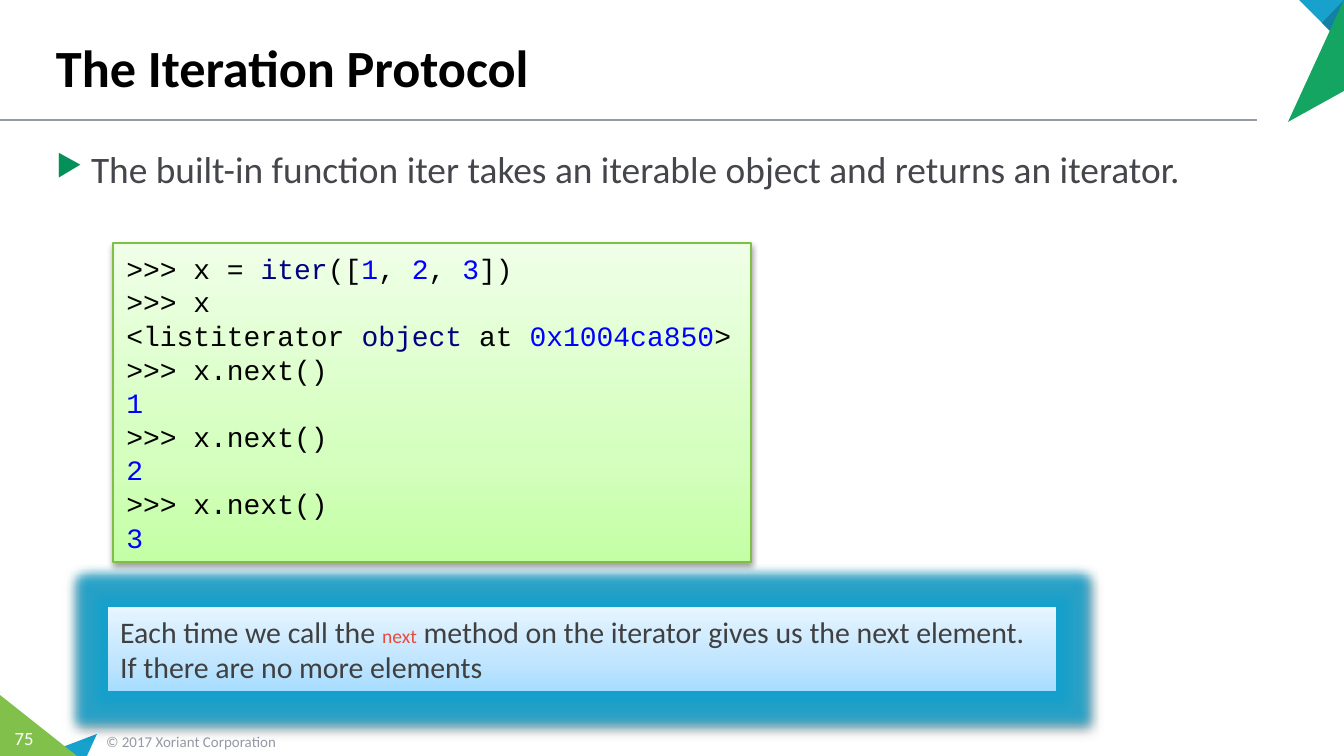
from dataclasses import dataclass

from pptx import Presentation
from pptx.dml.color import RGBColor
from pptx.enum.shapes import MSO_CONNECTOR, MSO_SHAPE
from pptx.enum.text import MSO_ANCHOR, PP_ALIGN
from pptx.oxml import parse_xml
from pptx.oxml.ns import nsdecls
from pptx.util import Emu, Pt

RECT = MSO_SHAPE.RECTANGLE
STRAIGHT = MSO_CONNECTOR.STRAIGHT
TOP, MIDDLE, BOTTOM = MSO_ANCHOR.TOP, MSO_ANCHOR.MIDDLE, MSO_ANCHOR.BOTTOM
LEFT, CENTER = PP_ALIGN.LEFT, PP_ALIGN.CENTER
EMU_PER_PX = 914400 / 134.4


@dataclass(frozen=True)
class Theme:
    sans: str = "Calibri"
    mono: str = "Courier New"
    black: str = "000000"
    white: str = "FFFFFF"
    grey: str = "959AA5"
    body: str = "44464B"
    note: str = "404040"
    keyword: str = "000080"
    number: str = "0000FF"
    alert: str = "E74C3C"
    bullet: str = "049159"
    blue: str = "17A1CC"
    deep_blue: str = "1281A3"
    green: str = "15A563"
    lime: str = "81C14B"
    code_line: str = "7EC046"
    note_line: str = "12A0CC"
    code_fill: tuple = ("C4FFA5", "D5FFBF", "EFFFE7")
    note_fill: tuple = ("A5DCFF", "C0E5FF", "E7F5FF")
    title_size: float = 28
    body_size: float = 20
    note_size: float = 16
    code_size: float = 15
    inline_size: float = 10.5
    page_size: float = 10
    footer_size: float = 8


T = Theme()

TRIANGLES = [
    (T.blue, [(97, 734), (87, 756), (39, 756)]),
    (T.lime, [(0, 695), (77, 756), (0, 756)]),
    (T.blue, [(1299, 0), (1344, 0), (1344, 45)]),
    (T.deep_blue, [(1322, 23), (1344, 0), (1344, 45)]),
    (T.green, [(1288, 122), (1344, 0), (1344, 91)]),
]

NEXT_CALLS = [
    line
    for value in "123"
    for line in ([(">>> x.next()", {})], [(value, {"color": T.number})])
]
CODE = [
    [
        (">>> x = ", {}), ("iter", {"color": T.keyword}), ("([", {}),
        ("1", {"color": T.number}), (", ", {}),
        ("2", {"color": T.number}), (", ", {}),
        ("3", {"color": T.number}), ("])", {}),
    ],
    [(">>> x", {})],
    [
        ("<listiterator ", {}), ("object ", {"color": T.keyword}), ("at ", {}),
        ("0x1004ca850", {"color": T.number}), (">", {}),
    ],
    *NEXT_CALLS,
]
NOTE = [
    [
        ("Each time we call the\u00a0", {}),
        ("next", {"size": T.inline_size, "color": T.alert}),
        ("\u00a0method on the iterator gives us the next element.", {}),
    ],
    [("If there are no more elements", {})],
]


def px(value):
    return Emu(round(value * EMU_PER_PX))


def rgb(value):
    return RGBColor.from_string(value)


def set_font(font, fmt):
    for key, value in fmt.items():
        if key == "color":
            font.color.rgb = rgb(value)
        else:
            setattr(font, key, Pt(value) if key == "size" else value)


def write_lines(tf, lines, fmt, align=LEFT):
    for i, line in enumerate(lines):
        p = tf.paragraphs[0] if i == 0 else tf.add_paragraph()
        p.alignment = align
        for text, extra in line:
            r = p.add_run()
            r.text = text
            set_font(r.font, {**fmt, **extra})


def add_text(slide, box, text, fmt, anchor=TOP, align=LEFT, side_inset=13):
    tf = slide.shapes.add_textbox(*map(px, box)).text_frame
    frame = {
        "word_wrap": True,
        "vertical_anchor": anchor,
        "margin_left": px(side_inset),
        "margin_right": px(side_inset),
    }
    for key, value in frame.items():
        setattr(tf, key, value)
    write_lines(tf, [[(text, {})]], fmt, align)
    return tf.paragraphs[0]


def add_bullet(p, indent):
    p.space_after = Pt(3)
    pPr = p._p.get_or_add_pPr()
    pPr.set("marL", str(px(indent)))
    pPr.set("indent", str(-px(indent)))
    for xml in (
        f'<a:buClr {nsdecls("a")}><a:srgbClr val="{T.bullet}"/></a:buClr>',
        f'<a:buSzPct {nsdecls("a")} val="80000"/>',
        f'<a:buChar {nsdecls("a")} char="▶"/>',
    ):
        pPr.append(parse_xml(xml))


def add_triangle(slide, color, points):
    builder = slide.shapes.build_freeform(*points[0], scale=EMU_PER_PX)
    builder.add_line_segments(points[1:], close=True)
    sp = builder.convert_to_shape()
    sp.shadow.inherit = False
    sp.fill.solid()
    sp.fill.fore_color.rgb = rgb(color)
    sp.line.fill.background()


def add_rule(slide, start, end):
    line = slide.shapes.add_connector(STRAIGHT, *map(px, start + end))
    line.line.color.rgb = rgb(T.grey)
    line.line.width = Pt(1)
    line._element.spPr.append(parse_xml(f'<a:effectLst {nsdecls("a")}/>'))


def add_panel(slide, box, colors, outline, lines, fmt, glow=""):
    sp = slide.shapes.add_shape(RECT, *map(px, box))
    sp.line.color.rgb = rgb(outline)
    sp.line.width = Pt(0.75)
    sp.shadow.inherit = False
    stops = "".join(
        f'<a:gs pos="{pos}"><a:srgbClr val="{color}"/></a:gs>'
        for pos, color in zip((0, 35000, 100000), colors)
    )
    spPr = sp._element.spPr
    spPr.ln.addprevious(parse_xml(
        f'<a:gradFill {nsdecls("a")} rotWithShape="1"><a:gsLst>{stops}</a:gsLst>'
        '<a:lin ang="16200000" scaled="1"/></a:gradFill>'
    ))
    effects = spPr[-1]
    if glow:
        effects.append(parse_xml(
            f'<a:glow {nsdecls("a")} rad="{Pt(11)}"><a:srgbClr val="{glow}">'
            '<a:alpha val="85000"/></a:srgbClr></a:glow>'
        ))
    effects.append(parse_xml(
        f'<a:outerShdw {nsdecls("a")} blurRad="{Pt(3.1)}" dist="{Pt(1.6)}" '
        f'dir="5400000" rotWithShape="0"><a:srgbClr val="{T.black}">'
        '<a:alpha val="38000"/></a:srgbClr></a:outerShdw>'
    ))
    tf = sp.text_frame
    tf.word_wrap = True
    tf.vertical_anchor = MIDDLE
    write_lines(tf, lines, fmt)


def main():
    prs = Presentation()
    prs.slide_width, prs.slide_height = px(1344), px(756)
    slide = prs.slides.add_slide(prs.slide_layouts[6])
    add_rule(slide, (0, 120), (1257, 120))
    for color, points in TRIANGLES:
        add_triangle(slide, color, points)
    add_text(slide, (93, 725, 313, 32), "© 2017 Xoriant Corporation",
             {"name": T.sans, "size": T.footer_size, "color": T.grey}, MIDDLE)
    add_text(slide, (0, 720, 48, 36), "75",
             {"name": T.sans, "size": T.page_size, "color": T.white},
             align=CENTER, side_inset=0)
    add_text(slide, (43, 8, 1210, 97), "The Iteration Protocol",
             {"name": T.sans, "size": T.title_size, "color": T.black, "bold": True},
             BOTTOM)
    p = add_text(
        slide, (43, 140, 1232, 81),
        "The built-in function\u00a0iter\u00a0takes an iterable object and returns an iterator.",
        {"name": T.sans, "size": T.body_size, "color": T.body})
    add_bullet(p, 35)
    add_panel(slide, (113, 243, 638, 319), T.code_fill, T.code_line, CODE,
              {"name": T.mono, "size": T.code_size, "color": T.black})
    add_panel(slide, (107, 606, 950, 86), T.note_fill, T.note_line, NOTE,
              {"name": T.sans, "size": T.note_size, "color": T.note}, T.note_line)
    prs.save("out.pptx")


if __name__ == "__main__":
    main()
